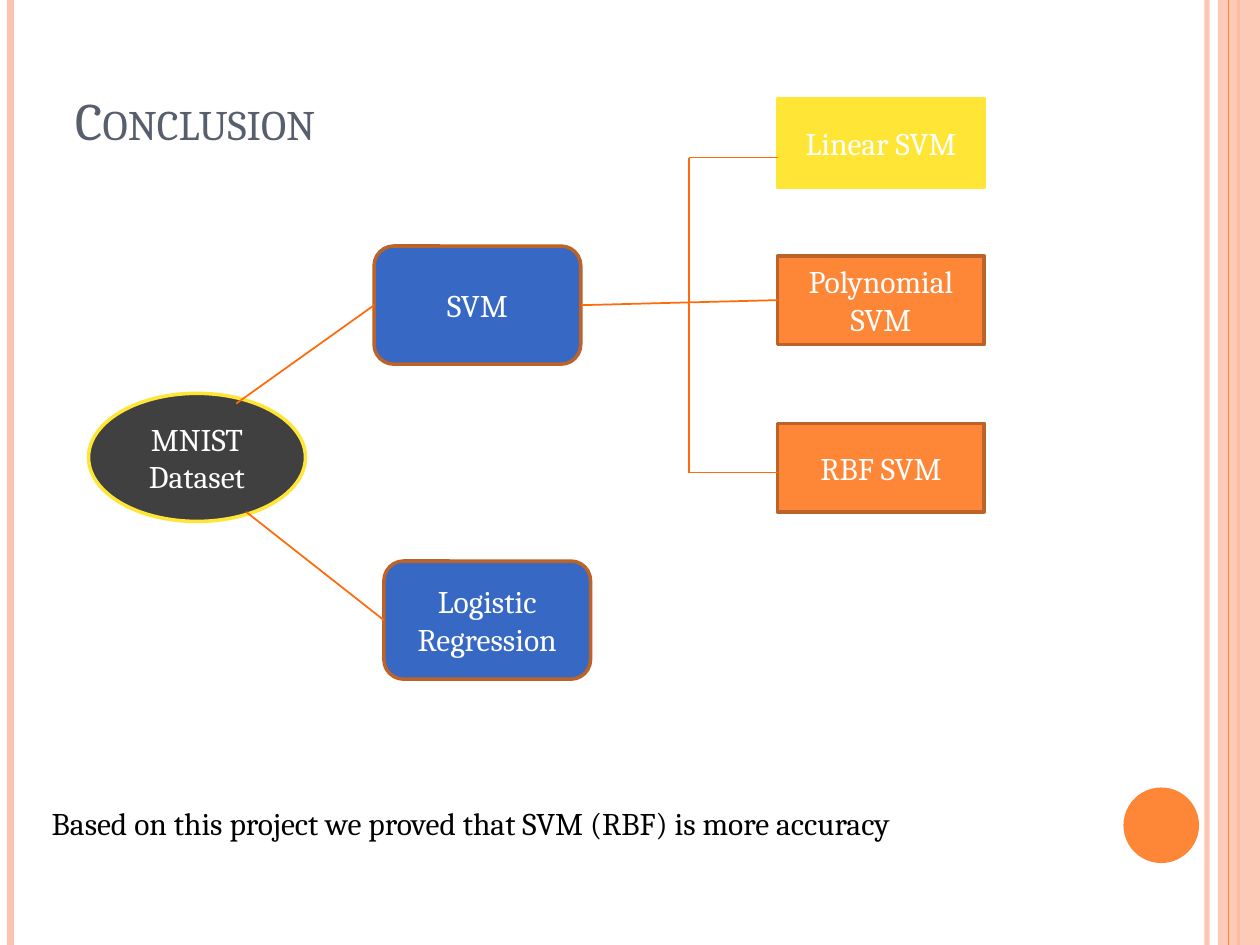
from lxml.etree import SubElement
from pptx import Presentation
from pptx.dml.color import RGBColor
from pptx.enum.shapes import MSO_CONNECTOR, MSO_SHAPE
from pptx.enum.text import MSO_ANCHOR, PP_ALIGN
from pptx.oxml.ns import qn
from pptx.util import Pt

COLORS = {
    "peach": "FEC3AE", "orange": "FE8637", "brown": "BC6329", "link": "FF6B0A",
    "blue": "3668C4", "yellow": "FFE636", "dark": "404040",
    "title": "575F6D", "white": "FFFFFF", "black": "000000",
}
FONT = "Cambria"
W, H = 720, 540

prs = Presentation()
prs.slide_width, prs.slide_height = Pt(W), Pt(H)
s = prs.slides.add_slide(prs.slide_layouts[6])


def add_line(x1, y1, x2, y2, color="link", width=1, opacity=100):
    c = s.shapes.add_connector(MSO_CONNECTOR.STRAIGHT, Pt(x1), Pt(y1), Pt(x2), Pt(y2))
    c.line.color.rgb = RGBColor.from_string(COLORS[color])
    c.line.width = Pt(width)
    sp_pr = c._element.spPr
    if opacity < 100:
        clr = next(sp_pr.iter(qn("a:srgbClr")))
        SubElement(clr, qn("a:alpha")).set("val", str(opacity * 1000))
    SubElement(sp_pr, qn("a:effectLst"))


def add_node(kind, x, y, w, h, fill, line=None, text=""):
    sp = s.shapes.add_shape(kind, Pt(x), Pt(y), Pt(w), Pt(h))
    sp.shadow.inherit = False
    sp.fill.solid()
    sp.fill.fore_color.rgb = RGBColor.from_string(COLORS[fill])
    if line:
        sp.line.color.rgb = RGBColor.from_string(COLORS[line])
        sp.line.width = Pt(2)
    else:
        sp.line.fill.background()
    if text:
        tf = sp.text_frame
        tf.word_wrap = True
        tf.vertical_anchor = MSO_ANCHOR.MIDDLE
        p = tf.paragraphs[0]
        p.text = text
        p.alignment = PP_ALIGN.CENTER
        p.font.name, p.font.size = FONT, Pt(18)
        p.font.color.rgb = RGBColor.from_string(COLORS["white"])
    return sp


# Side stripes and page-number disc
add_line(689.8, 0, 689.8, H, "peach", 3, 93)
add_line(6, 0, 6, H, "peach", 4.5)
add_line(707.8, 0, 707.8, H, "orange", 1.5)
band = add_node(MSO_SHAPE.RECTANGLE, 696, 0, 24, H, "peach")
band_color = next(band._element.spPr.iter(qn("a:srgbClr")))
SubElement(band_color, qn("a:alpha")).set("val", "87000")
add_line(702, 0, 702, H, "orange", 0.75)
add_node(MSO_SHAPE.OVAL, 642, 450, 43.2, 43.2, "orange")

# Title and closing sentence
for text, x, y, w, h, size, color, anchor in [
    ("Conclusion", 36, 21.6, 588, 68.4, 30, "title", MSO_ANCHOR.BOTTOM),
    ("Based on this project we proved that SVM (RBF) is more accuracy",
     22.5, 456, 637, 29, 18, "black", MSO_ANCHOR.TOP),
]:
    tf = s.shapes.add_textbox(Pt(x), Pt(y), Pt(w), Pt(h)).text_frame
    tf.word_wrap = True
    tf.vertical_anchor = anchor
    p = tf.paragraphs[0]
    r = p.add_run()
    r.text = text
    p.font.name, p.font.size = FONT, Pt(size)
    p.font.color.rgb = RGBColor.from_string(COLORS[color])
    if text == "Conclusion":
        r._r.get_or_add_rPr().set("cap", "small")

# Data set, model families and SVM kernels
add_node(MSO_SHAPE.OVAL, 50.6, 224.8, 124, 73.2, "dark", "yellow", "MNIST Dataset")
for text, x, y in [("SVM", 213.8, 140.6), ("Logistic Regression", 219.4, 320.6)]:
    add_node(MSO_SHAPE.ROUNDED_RECTANGLE, x, y, 118.1, 67.5, "blue", "brown", text)
for text, y, fill, line in [
    ("Linear SVM", 56.2, "yellow", "yellow"),
    ("Polynomial SVM", 146.2, "orange", "brown"),
    ("RBF SVM", 241.9, "orange", "brown"),
]:
    add_node(MSO_SHAPE.RECTANGLE, 444.4, y, 118.1, 50.6, fill, line, text)

# Links between the nodes
trunk, kernel_left, top, bottom = 393.8, 444.4, 90, 270
for ends in [
    (135, 230.6, 213.8, 174.4),
    (140.6, 292.5, 219.4, 354.4),
    (331.9, 174.4, kernel_left, 171.5),
    (trunk, top, trunk, bottom),
    (trunk, top, kernel_left, top),
    (trunk, bottom, kernel_left, bottom),
]:
    add_line(*ends)

prs.save("out.pptx")
